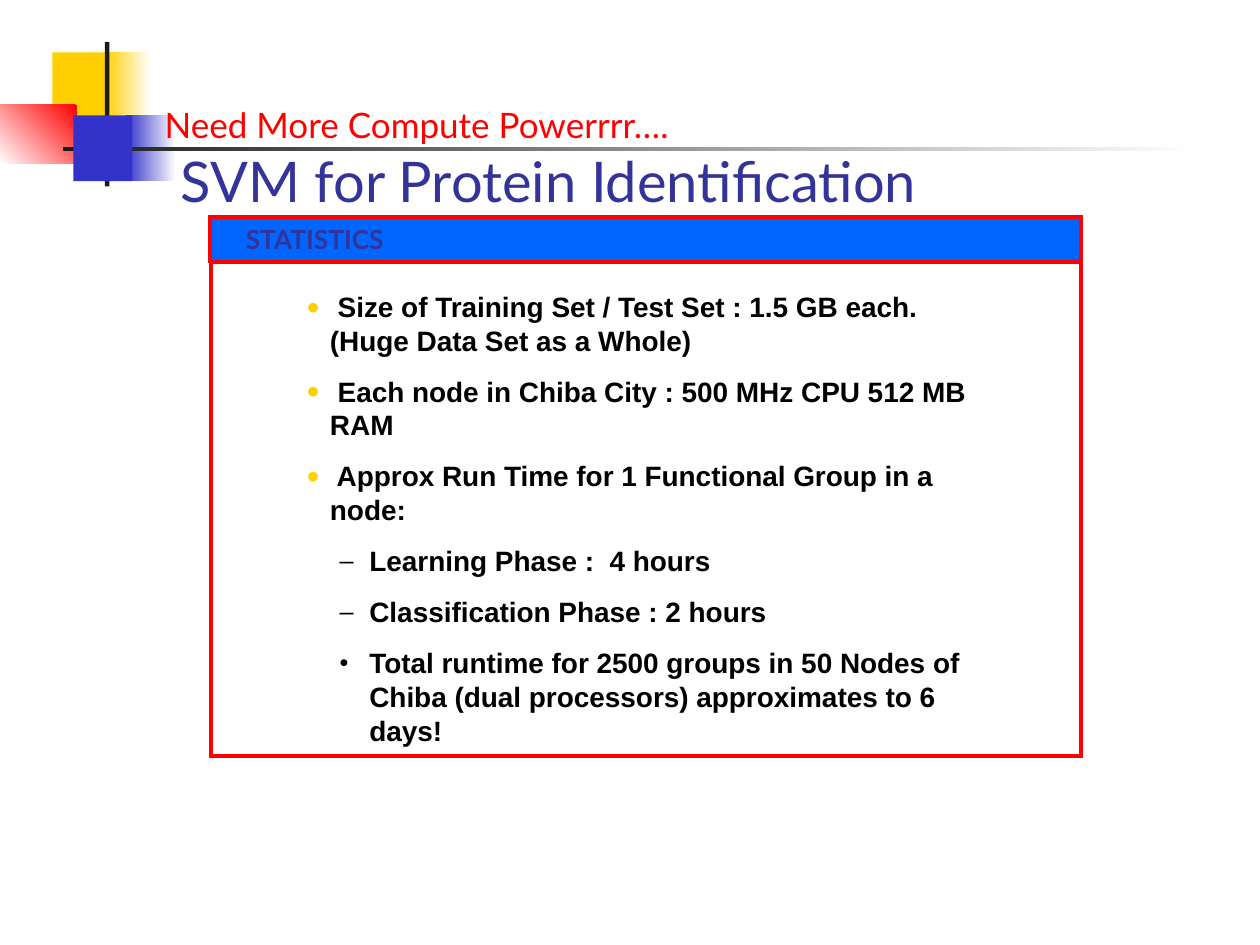
from lxml import etree
from pptx import Presentation
from pptx.dml.color import RGBColor
from pptx.enum import shapes, text
from pptx.oxml.ns import qn
from pptx.util import Pt

WHITE, BLACK, DARK = "FFFFFF", "000000", "1C1C1C"
RED, YELLOW, BLUE = "FF0000", "FFCF01", "3333CC"
INDIGO, BAR_BLUE = "333399", "0066FF"

# Text, outline level, bullet
STATISTICS = [
    (" Size of Training Set / Test Set : 1.5 GB each. (Huge Data Set as a Whole)", 0, "●"),
    (" Each node in Chiba City : 500 MHz CPU 512 MB  RAM", 0, "●"),
    (" Approx Run Time for 1 Functional Group in a node:", 0, "●"),
    ("Learning Phase :  4 hours", 1, "–"),
    ("Classification Phase : 2 hours", 1, "–"),
    ("Total runtime for 2500 groups in 50 Nodes of Chiba (dual processors) "
     "approximates to 6 days!", 1, "•"),
]
# Left margin, first-line indent, bullet colour, bullet size per level
LEVELS = [(13.5, -13.5, YELLOW, 80), (36, -17, BLACK, 90)]


def colour(value):
    return RGBColor.from_string(value)


def add_box(slide, left, top, width, height, fill=None, line=None):
    shape = slide.shapes.add_shape(
        shapes.MSO_SHAPE.RECTANGLE, Pt(left), Pt(top), Pt(width), Pt(height))
    shape.shadow.inherit = False
    if fill:
        shape.fill.solid()
        shape.fill.fore_color.rgb = colour(fill)
    else:
        shape.fill.background()
    if line:
        shape.line.color.rgb = colour(line)
        shape.line.width = Pt(2.25)
        # Square corners
        etree.SubElement(shape.line._get_or_add_ln(), qn("a:miter"), lim="800000")
    else:
        shape.line.fill.background()
    return shape


def add_fade(slide, left, top, width, height, start, angle=0):
    """Rectangle that fades from a colour to white."""
    shape = add_box(slide, left, top, width, height)
    shape.fill.gradient()
    shape.fill.gradient_angle = angle
    for stop, value in zip(shape.fill.gradient_stops, (start, WHITE)):
        stop.color.rgb = colour(value)


def add_text_box(slide, left, top, width, height, wrap=True):
    shape = slide.shapes.add_textbox(Pt(left), Pt(top), Pt(width), Pt(height))
    shape.text_frame.word_wrap = wrap
    return shape.text_frame


def format_runs(paragraph, size, name, value, bold=False):
    for run in paragraph.runs:
        run.font.size = Pt(size)
        run.font.name = name
        run.font.bold = bold
        run.font.color.rgb = colour(value)


def set_bullet(paragraph, level, character):
    margin, indent, value, percent = LEVELS[level]
    paragraph.level = level
    properties = paragraph._p.get_or_add_pPr()
    properties.set("marL", str(Pt(margin)))
    properties.set("indent", str(Pt(indent)))
    bullet_colour = etree.SubElement(properties, qn("a:buClr"))
    etree.SubElement(bullet_colour, qn("a:srgbClr"), val=value)
    etree.SubElement(properties, qn("a:buSzPct"), val=str(percent * 1000))
    etree.SubElement(properties, qn("a:buFont"), typeface="Arial")
    etree.SubElement(properties, qn("a:buChar"), char=character)


def add_decoration(slide):
    add_box(slide, 30, 30, 34.5, 37.5, YELLOW)
    add_fade(slide, 60, 30, 26, 37.5, YELLOW)
    add_fade(slide, 72, 66, 28.5, 37.5, BLUE)
    add_fade(slide, 0, 60, 44, 33.5, RED, 225)
    add_box(slide, 60, 24, 2.5, 82.5, DARK)
    add_fade(slide, 36, 84, 648, 2.5, DARK)
    add_box(slide, 42, 66, 33.5, 37.5, BLUE)


def add_title(slide):
    title = slide.shapes.title
    title.left, title.top, title.width, title.height = Pt(96), Pt(58), Pt(612), Pt(90)
    frame = title.text_frame
    frame.text = "SVM for Protein Identification"
    frame.auto_size = text.MSO_AUTO_SIZE.NONE
    frame.vertical_anchor = text.MSO_ANCHOR.MIDDLE
    frame.paragraphs[0].alignment = text.PP_ALIGN.LEFT
    format_runs(frame.paragraphs[0], 32, "Lato", INDIGO)


def add_statistics(slide):
    # Frame and heading bar
    add_box(slide, 120.5, 150, 497, 282, line=RED)
    bar = add_box(slide, 120, 124, 498, 25.5, BAR_BLUE, RED)
    frame = bar.text_frame
    frame.text = "STATISTICS"
    frame.margin_left = Pt(20.5)
    frame.margin_top = frame.margin_bottom = 0
    frame.vertical_anchor = text.MSO_ANCHOR.MIDDLE
    frame.paragraphs[0].alignment = text.PP_ALIGN.LEFT
    format_runs(frame.paragraphs[0], 15, "Lato", INDIGO, bold=True)

    # Bulleted list
    frame = add_text_box(slide, 168, 162, 402, 268.5)
    for index, (words, level, character) in enumerate(STATISTICS):
        paragraph = frame.add_paragraph() if index else frame.paragraphs[0]
        paragraph.text = words
        if index:
            paragraph.space_before = Pt(10)
        set_bullet(paragraph, level, character)
        format_runs(paragraph, 16, "Arial", BLACK, bold=True)


def main():
    presentation = Presentation()
    presentation.slide_width, presentation.slide_height = Pt(720), Pt(540)
    slide = presentation.slides.add_slide(presentation.slide_layouts[5])
    add_decoration(slide)

    # Line above the title
    frame = add_text_box(slide, 87, 55.5, 322.5, 31.5, wrap=False)
    frame.text = "Need More Compute Powerrrr…."
    format_runs(frame.paragraphs[0], 20, "Lato", RED)

    add_statistics(slide)
    add_title(slide)
    presentation.save("out.pptx")


if __name__ == "__main__":
    main()
